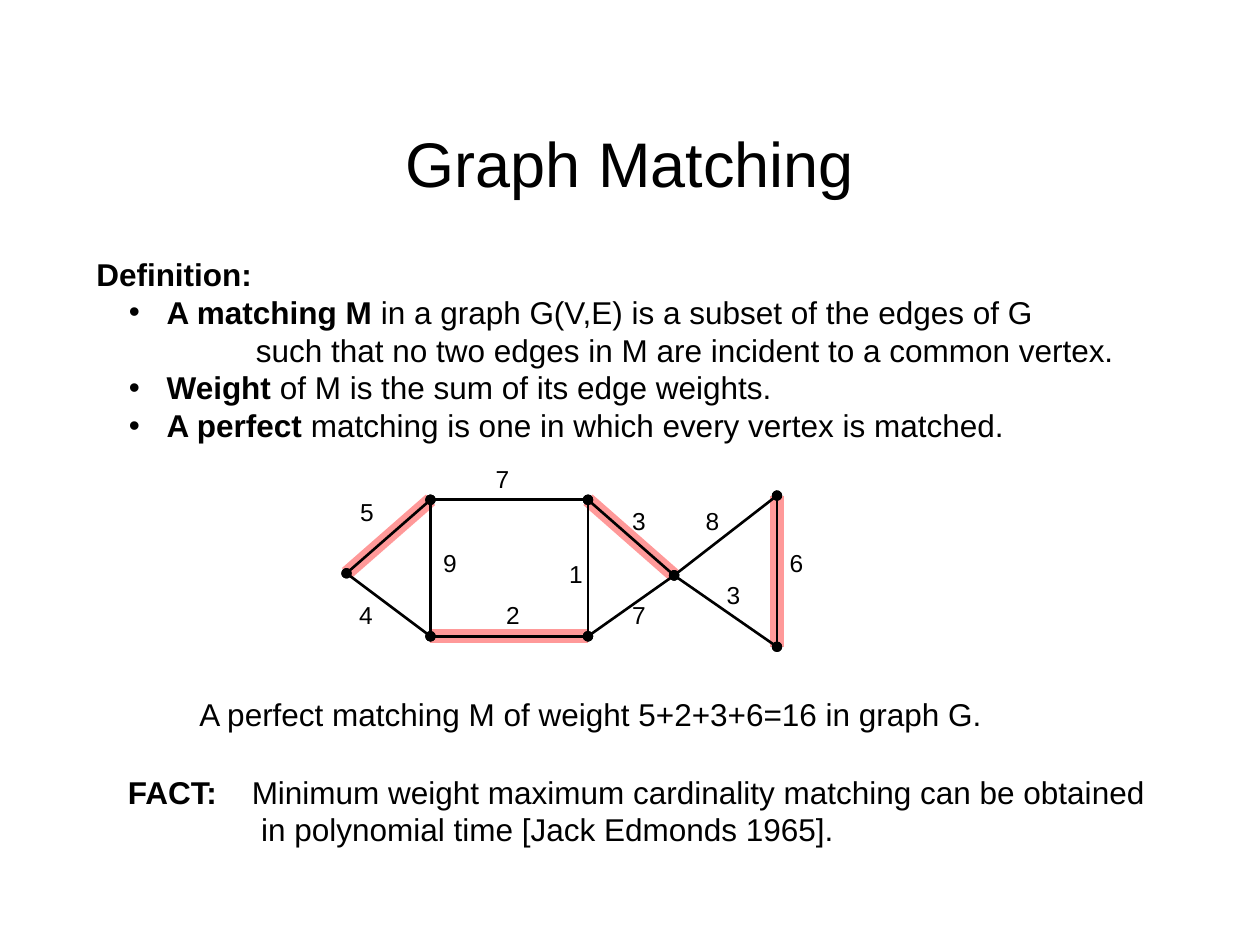
from dataclasses import dataclass

from lxml import etree
from pptx import Presentation
from pptx import util as u
from pptx.dml.color import RGBColor
from pptx.enum import shapes, text
from pptx.oxml.ns import qn


@dataclass(frozen=True)
class Theme:
    font: str = "Arial"
    ink: RGBColor = RGBColor(0, 0, 0)
    matched: RGBColor = RGBColor(0xFF, 0x99, 0x99)
    title: int = 36
    body: int = 18
    label: int = 14
    edge: float = 1.5
    highlight: float = 8


THEME = Theme()
COLUMNS, ROWS = 120, 90
WIDTH, HEIGHT = u.Inches(10), u.Inches(7.5)
LEFT, CENTER = text.PP_ALIGN.LEFT, text.PP_ALIGN.CENTER

TITLE = ("Graph Matching", (9, 8, 102, 15))
PLAIN, BULLET, BULLET_MORE = (0, 0, ""), (6.7, -3.6, "•"), (15.2, 0, "")
FACT, FACT_MORE = (11.8, -11.8, ""), (12.7, 0, "")

DEFINITION = [
    (PLAIN, [("Definition:", True)]),
    (BULLET, [("A matching M ", True), ("in a graph G(V,E) is a subset of the edges of G", False)]),
    (BULLET_MORE, [("such that no two edges in M are incident to a common vertex.", False)]),
    (BULLET, [("Weight ", True), ("of M is the sum of its edge weights.", False)]),
    (BULLET, [("A perfect", True), (" matching is one in which every vertex is matched.", False)]),
]
CAPTION = [(PLAIN, [("A perfect matching M of weight 5+2+3+6=16 in graph G.", False)])]
THEOREM = [
    (FACT, [("FACT:\t", True),
            ("Minimum weight maximum cardinality matching can be obtained", False)]),
    (FACT_MORE, [("in polynomial time [Jack Edmonds 1965].", False)]),
]

VERTICES = {
    "tail": (33, 54.6), "top left": (41, 47.6), "bottom left": (41, 60.6),
    "top right": (56, 47.6), "bottom right": (56, 60.6), "neck": (64.2, 54.8),
    "top fin": (74, 47.2), "bottom fin": (74, 61.6),
}
EDGES = [
    ("tail", "top left", 5, (33.1, 46.7), True),
    ("tail", "bottom left", 4, (33, 56.6), False),
    ("top left", "top right", 7, (46, 43.6), False),
    ("top left", "bottom left", 9, (41, 51.6), False),
    ("bottom left", "bottom right", 2, (47, 56.6), True),
    ("top right", "bottom right", 1, (53, 52.6), False),
    ("top right", "neck", 3, (59, 47.6), True),
    ("bottom right", "neck", 7, (59, 56.6), False),
    ("neck", "top fin", 8, (66, 47.6), False),
    ("neck", "bottom fin", 3, (68, 54.6), False),
    ("top fin", "bottom fin", 6, (74, 51.6), True),
]
LABEL_SIZE = (3.7, 4)


def across(columns):
    return round(WIDTH * columns / COLUMNS)


def down(rows):
    return round(HEIGHT * rows / ROWS)


def place(area):
    left, top, width, height = area
    return across(left), down(top), across(width), down(height)


def add_run(para, words, size, bold=False):
    span = para.add_run()
    span.text = words
    span.font.name, span.font.size, span.font.bold = THEME.font, u.Pt(size), bold
    span.font.color.rgb = THEME.ink


def indent(para, margin, first, bullet):
    properties = para._p.get_or_add_pPr()
    properties.set("marL", str(across(margin)))
    properties.set("indent", str(across(first)))
    if bullet:
        etree.SubElement(properties, qn("a:buFont"), typeface=THEME.font)
        etree.SubElement(properties, qn("a:buChar"), char=bullet)
    else:
        etree.SubElement(properties, qn("a:buNone"))


def add_text(page, area, lines, size, align=LEFT, wrap=True):
    frame = page.shapes.add_textbox(*place(area)).text_frame
    frame.word_wrap = wrap
    for number, (style, spans) in enumerate(lines):
        para = frame.add_paragraph() if number else frame.paragraphs[0]
        indent(para, *style)
        para.alignment = align
        for words, bold in spans:
            add_run(para, words, size, bold)


def add_edge(page, start, end, color, width, dots):
    (x1, y1), (x2, y2) = VERTICES[start], VERTICES[end]
    edge = page.shapes.add_connector(
        shapes.MSO_CONNECTOR.STRAIGHT, across(x1), down(y1), across(x2), down(y2))
    edge.line.color.rgb, edge.line.width = color, u.Pt(width)
    if dots:
        for tag in ("a:headEnd", "a:tailEnd"):
            etree.SubElement(edge.line._get_or_add_ln(), qn(tag), type="oval")
    etree.SubElement(edge._element.spPr, qn("a:effectLst"))


def add_title(page):
    words, area = TITLE
    title = page.shapes.title
    title.left, title.top, title.width, title.height = place(area)
    title.text_frame.vertical_anchor = text.MSO_ANCHOR.MIDDLE
    para = title.text_frame.paragraphs[0]
    para.alignment = CENTER
    add_run(para, words, THEME.title)


def add_graph(page):
    for start, end, _, _, matched in EDGES:
        if matched:
            add_edge(page, start, end, THEME.matched, THEME.highlight, False)
    for start, end, *_ in EDGES:
        add_edge(page, start, end, THEME.ink, THEME.edge, True)
    for _, _, weight, corner, _ in EDGES:
        add_text(page, corner + LABEL_SIZE, [(PLAIN, [(str(weight), False)])],
                 THEME.label, CENTER, False)


def main():
    """Build the graph matching slide."""
    deck = Presentation()
    deck.slide_width, deck.slide_height = WIDTH, HEIGHT
    page = deck.slides.add_slide(deck.slide_layouts[5])
    add_title(page)
    add_text(page, (8, 23.7, 103, 19.2), DEFINITION, THEME.body)
    add_graph(page)
    add_text(page, (17.3, 65.6, 77.9, 4.8), CAPTION, THEME.body, CENTER, False)
    add_text(page, (11, 73, 100.6, 8.4), THEOREM, THEME.body)
    deck.save("out.pptx")


if __name__ == "__main__":
    main()
